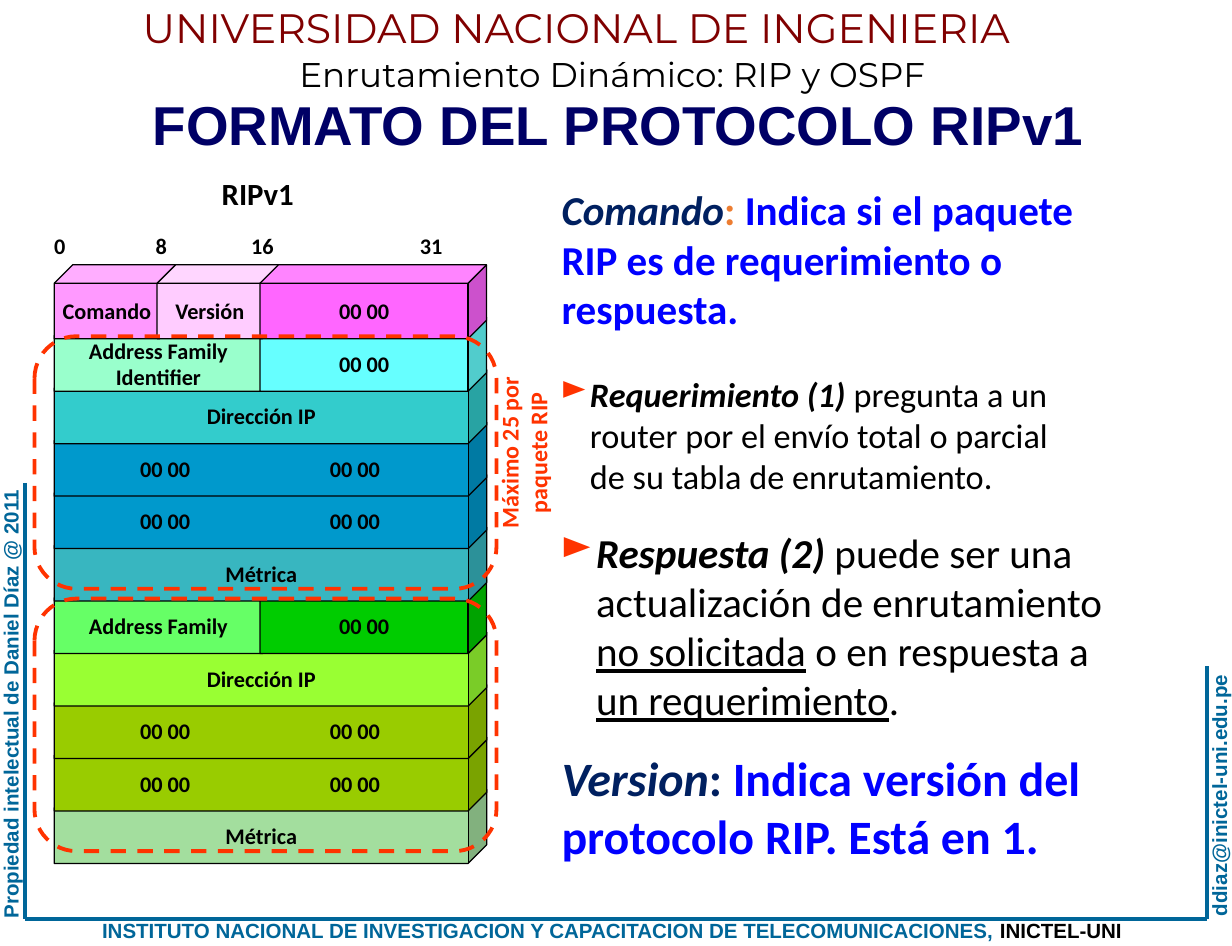
from dataclasses import dataclass

from lxml.etree import SubElement
from pptx import Presentation
from pptx.dml.color import RGBColor
from pptx.enum.dml import MSO_LINE
from pptx.enum.shapes import MSO_CONNECTOR, MSO_SHAPE
from pptx.enum.text import MSO_ANCHOR, MSO_AUTO_SIZE, PP_ALIGN
from pptx.oxml.ns import qn
from pptx.util import Emu, Pt

EMU_PER_PX = 9144


@dataclass(frozen=True)
class Theme:
    body: str = "Calibri"
    head: str = "Arial"
    banner: str = "Montserrat"
    ink: str = "000000"
    maroon: str = "800000"
    navy: str = "000066"
    term: str = "002060"
    blue: str = "0000FF"
    orange: str = "ED7D31"
    red: str = "FF3300"
    frame: str = "006699"
    banner_size: int = 24
    course_size: int = 20
    title_size: int = 32
    footer_size: int = 12
    cell_size: int = 13
    limit_size: int = 14
    caption_size: int = 18
    small: int = 20
    medium: int = 24
    large: int = 28
    thin: float = 0.75
    thick: float = 2.25


T = Theme()
PAIR = "\t00 00\t00 00"
PAIR_TABS = (79, 233)
AXIS_TABS = (4, 87, 169, 306)
ROW_TOP, ROW_STEP, ROW_HEIGHT = 215, 42.6, 60
COL_LEFT, COL_STEP, CUBE_DEPTH = 44, 83.5, 17
ROWS = [
    [(0, 1, "FF99FF", "Comando"), (1, 1, "FFCCFF", "Versión"), (2, 2, "FF66FF", "00 00")],
    [(0, 2, "99FFCC", "Address Family\nIdentifier"), (2, 2, "66FFFF", "00 00")],
    [(0, 4, "33CCCC", "Dirección IP")],
    [(0, 4, "0099CC", PAIR)],
    [(0, 4, "0099CC", PAIR)],
    [(0, 4, "38B6C0", "Métrica")],
    [(0, 2, "66FF66", "Address Family"), (2, 2, "00CC00", "00 00")],
    [(0, 4, "99FF33", "Dirección IP")],
    [(0, 4, "99CC00", PAIR)],
    [(0, 4, "99CC00", PAIR)],
    [(0, 4, "A3DE9E", "Métrica")],
]


def px(n):
    return Emu(round(n * EMU_PER_PX))


def rgb(value):
    return RGBColor.from_string(value)


def fmt(name, size, color, **extra):
    return {"name": name, "size": Pt(size), "color": color, **extra}


def apply(obj, values):
    for key, value in values.items():
        setattr(obj, key, value)


def add_run(p, text, style):
    r = p.add_run()
    r.text = text
    apply(r.font, {k: v for k, v in style.items() if k != "color"})
    r.font.color.rgb = rgb(style["color"])


def add_tabs(p, stops):
    tabs = SubElement(p._p.get_or_add_pPr(), qn("a:tabLst"))
    for stop in stops:
        SubElement(tabs, qn("a:tab"), pos=str(px(stop)), algn="ctr")


def add_bullet(p, char, color):
    pPr = p._p.get_or_add_pPr()
    SubElement(SubElement(pPr, qn("a:buClr")), qn("a:srgbClr"), val=color)
    SubElement(pPr, qn("a:buChar"), char=char)


def write(tf, lines, align=PP_ALIGN.LEFT, inset=10, tabs=(), hang=0, **frame):
    apply(tf, {"margin_left": px(inset), "margin_right": px(inset),
               "margin_top": px(5), "margin_bottom": px(5),
               "word_wrap": bool(tabs), "vertical_anchor": MSO_ANCHOR.TOP,
               "auto_size": MSO_AUTO_SIZE.SHAPE_TO_FIT_TEXT, **frame})
    for i, runs in enumerate(lines):
        p = tf.add_paragraph() if i else tf.paragraphs[0]
        p.alignment = align
        if hang:
            pPr = p._p.get_or_add_pPr()
            pPr.set("marL", str(px(hang)))
            pPr.set("indent", str(0 if i else -px(hang)))
            if not i:
                add_bullet(p, "►", T.red)
        if tabs:
            add_tabs(p, tabs)
        for text, style in runs:
            add_run(p, text, style)


def add_text(slide, box, lines, rotation=0, **options):
    sp = slide.shapes.add_textbox(*map(px, box))
    sp.rotation = rotation
    write(sp.text_frame, lines, **options)


def add_title(slide, box, text):
    sp = slide.shapes.title
    apply(sp, dict(zip(("left", "top", "width", "height"), map(px, box))))
    write(sp.text_frame, [[(text, fmt(T.head, T.title_size, T.navy, bold=True))]])


def add_rule(slide, *ends):
    line = slide.shapes.add_connector(MSO_CONNECTOR.STRAIGHT, *map(px, ends))
    line.line.color.rgb = rgb(T.frame)
    line.line.width = Pt(T.thick)
    SubElement(line._element.spPr, qn("a:effectLst"))


def add_outlined(slide, kind, box, color, width):
    sp = slide.shapes.add_shape(kind, *map(px, box))
    sp.shadow.inherit = False
    sp.line.color.rgb = rgb(color)
    sp.line.width = Pt(width)
    return sp


def add_field(slide, row, col, span, fill, text):
    box = (COL_LEFT + col * COL_STEP, ROW_TOP + row * ROW_STEP,
           span * COL_STEP + CUBE_DEPTH, ROW_HEIGHT)
    sp = add_outlined(slide, MSO_SHAPE.CUBE, box, T.ink, T.thin)
    sp.fill.solid()
    sp.fill.fore_color.rgb = rgb(fill)
    style = fmt(T.body, T.cell_size, T.ink, bold=True)
    paired = text == PAIR
    write(sp.text_frame, [[(line, style)] for line in text.split("\n")],
          align=PP_ALIGN.LEFT if paired else PP_ALIGN.CENTER, inset=11,
          tabs=PAIR_TABS if paired else (),
          vertical_anchor=MSO_ANCHOR.MIDDLE, auto_size=MSO_AUTO_SIZE.NONE)


def add_entry_frame(slide, top):
    sp = add_outlined(slide, MSO_SHAPE.FLOWCHART_ALTERNATE_PROCESS,
                      (28, top, 375, 205), T.red, T.thick)
    sp.fill.background()
    sp.line.dash_style = MSO_LINE.DASH


def add_page_frame(slide):
    add_text(slide, (106, -3, 781, 50), [[
        ("UNIVERSIDAD NACIONAL DE INGENIERIA", fmt(T.banner, T.banner_size, T.maroon))]])
    add_text(slide, (211, 38, 572, 44), [[
        ("Enrutamiento Dinámico: RIP y OSPF", fmt(T.banner, T.course_size, T.ink))]],
        align=PP_ALIGN.CENTER)
    footer = fmt(T.head, T.footer_size, T.frame, bold=True)
    add_rule(slide, 20, 746, 980, 746)
    add_text(slide, (881, 630, 217, 30), [[("ddiaz@inictel-uni.edu.pe", footer)]], 270)
    add_text(slide, (73, 740, 852, 30), [[
        ("INSTITUTO NACIONAL DE INVESTIGACION Y CAPACITACION DE TELECOMUNICACIONES, ", footer),
        ("INICTEL-UNI", {**footer, "color": T.ink})]])
    add_text(slide, (-178, 554, 373, 30),
             [[("Propiedad intelectual de Daniel Díaz @ 2011", footer)]], 270)
    add_rule(slide, 980, 541, 980, 746)
    add_rule(slide, 20, 392, 20, 746)


def add_definitions(slide):
    def bold(size, color, **extra):
        return fmt(T.body, size, color, bold=True, **extra)

    blue = bold(T.medium, T.blue)
    add_text(slide, (446, 145, 534, 131), [
        [("Comando", bold(T.medium, T.term, italic=True)),
         (": ", bold(T.medium, T.orange)), ("Indica si el paquete", blue)],
        [("RIP es de requerimiento o", blue)],
        [("respuesta.", blue)]])
    plain = fmt(T.body, T.small, T.ink)
    add_text(slide, (445, 298, 499, 111), [
        [("Requerimiento (1) ", bold(T.small, T.ink, italic=True)), ("pregunta a un", plain)],
        [("router por el envío total o parcial", plain)],
        [("de su tabla de enrutamiento.", plain)]], hang=24)
    plain = fmt(T.body, T.medium, T.ink)
    under = {**plain, "underline": True}
    add_text(slide, (445, 423, 524, 171), [
        [("Respuesta (2)", bold(T.medium, T.ink, italic=True)), (" puede ser una", plain)],
        [("actualización de enrutamiento", plain)],
        [("no solicitada", under), (" o en respuesta a", plain)],
        [("un requerimiento", under), (".", plain)]], hang=29)
    blue = bold(T.large, T.blue)
    add_text(slide, (446, 603, 547, 104), [
        [("Version", bold(T.large, T.term, italic=True)),
         (": ", bold(T.large, T.term)), ("Indica versión del", blue)],
        [("protocolo RIP. Está en 1.", blue)]])


def add_packet(slide):
    for row in reversed(range(len(ROWS))):
        for field in ROWS[row]:
            add_field(slide, row, *field)
    add_text(slide, (33, 184, 365, 33), [[
        ("\t0\t8\t16\t31", fmt(T.body, T.cell_size, T.ink, bold=True))]],
        inset=11, tabs=AXIS_TABS)
    add_text(slide, (169, 137, 116, 52), [[
        ("RIPv1", fmt(T.body, T.caption_size, T.ink, bold=True))]], inset=11)
    for top in (273, 486):
        add_entry_frame(slide, top)
    limit = fmt(T.body, T.limit_size, T.red, bold=True)
    add_text(slide, (351, 339, 148, 57),
             [[("Máximo 25 por", limit)], [("paquete RIP", limit)]],
             270, align=PP_ALIGN.CENTER)


def main():
    prs = Presentation()
    prs.slide_width, prs.slide_height = px(1000), px(768)
    slide = prs.slides.add_slide(prs.slide_layouts[5])
    add_page_frame(slide)
    add_title(slide, (114, 69, 780, 63), "FORMATO DEL PROTOCOLO RIPv1")
    add_definitions(slide)
    add_packet(slide)
    prs.save("out.pptx")


if __name__ == "__main__":
    main()
